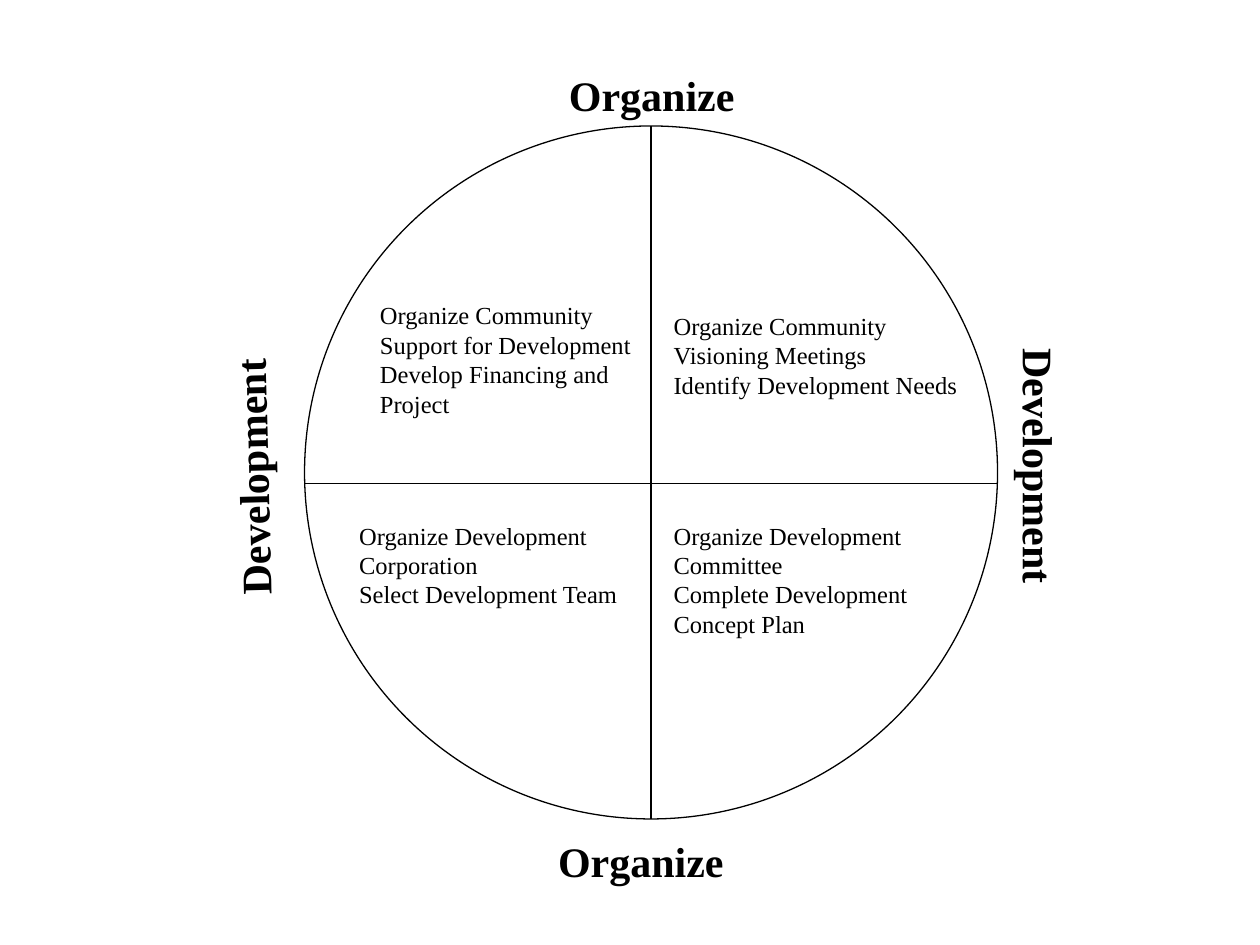
from dataclasses import dataclass

import pptx
import pptx.dml.color
import pptx.enum.shapes
import pptx.enum.text
import pptx.oxml
import pptx.oxml.ns
import pptx.util

Cm, Pt = pptx.util.Cm, pptx.util.Pt


@dataclass(frozen=True)
class Theme:
    font: str = "Times New Roman"
    ink: pptx.dml.color.RGBColor = pptx.dml.color.RGBColor(0, 0, 0)
    paper: pptx.dml.color.RGBColor = pptx.dml.color.RGBColor(255, 255, 255)
    label: float = 24
    body: float = 14
    line: float = 0.75


THEME = Theme()

QUADRANTS = [
    (1.27, 3.39, 6.15, 2.64,
     ["Organize Community Support for Development", "Develop Financing and Project"]),
    (7.19, 7.83, 5.72, 2.64,
     ["Organize Development Committee", "Complete Development Concept Plan"]),
    (0.85, 7.83, 5.92, 2.03,
     ["Organize Development Corporation", "Select Development Team"]),
    (7.19, 3.6, 6.77, 2.03,
     ["Organize Community Visioning Meetings", "Identify Development Needs"]),
]

LABELS = [
    (4.86, 14.18, 4.45, 0, "Organize"),
    (5.08, -1.27, 4.45, 0, "Organize"),
    (-3.91, 6.22, 5.69, 268.6, "Development"),
    (11.73, 6.68, 6.17, 90, "Development"),
]


def add_text(s, x, y, w, h, lines, size, bold=False, rotation=0):
    sp = s.shapes.add_textbox(Cm(x), Cm(y), Cm(w), Cm(h))
    sp.rotation = rotation
    tf = sp.text_frame
    tf.word_wrap = True
    tf.auto_size = pptx.enum.text.MSO_AUTO_SIZE.SHAPE_TO_FIT_TEXT
    for i, line in enumerate(lines):
        p = tf.add_paragraph() if i else tf.paragraphs[0]
        r = p.add_run()
        r.text = line
        r.font.name = THEME.font
        r.font.size = Pt(size)
        r.font.bold = bold
        r.font.color.rgb = THEME.ink


def add_divider(s, x1, y1, x2, y2):
    line = s.shapes.add_connector(
        pptx.enum.shapes.MSO_CONNECTOR.STRAIGHT, Cm(x1), Cm(y1), Cm(x2), Cm(y2))
    line.line.color.rgb = THEME.ink
    line.line.width = Pt(THEME.line)
    line._element.spPr.append(
        pptx.oxml.parse_xml(f"<a:effectLst {pptx.oxml.ns.nsdecls('a')}/>"))


def add_wheel(s, x, y, size):
    sp = s.shapes.add_shape(
        pptx.enum.shapes.MSO_SHAPE.OVAL, Cm(x), Cm(y), Cm(size), Cm(size))
    sp.shadow.inherit = False
    sp.fill.solid()
    sp.fill.fore_color.rgb = THEME.paper
    sp.line.color.rgb = THEME.ink
    sp.line.width = Pt(THEME.line)
    mid_x, mid_y = x + size / 2, y + 7.2
    add_divider(s, x, mid_y, x + size, mid_y)
    add_divider(s, mid_x, y, mid_x, y + size)
    for dx, dy, w, h, lines in QUADRANTS:
        add_text(s, x + dx, y + dy, w, h, lines, THEME.body)


def add_labels(s, x, y):
    for dx, dy, w, rotation, text in LABELS:
        add_text(s, x + dx, y + dy, w, 1.27, [text], THEME.label, True, rotation)


def main():
    prs = pptx.Presentation()
    prs.slide_width, prs.slide_height = Cm(25.4), Cm(19.05)
    s = prs.slides.add_slide(prs.slide_layouts[6])
    left, top, size = 6.14, 2.54, 13.97
    add_wheel(s, left, top, size)
    add_labels(s, left, top)
    prs.save("out.pptx")


if __name__ == "__main__":
    main()
